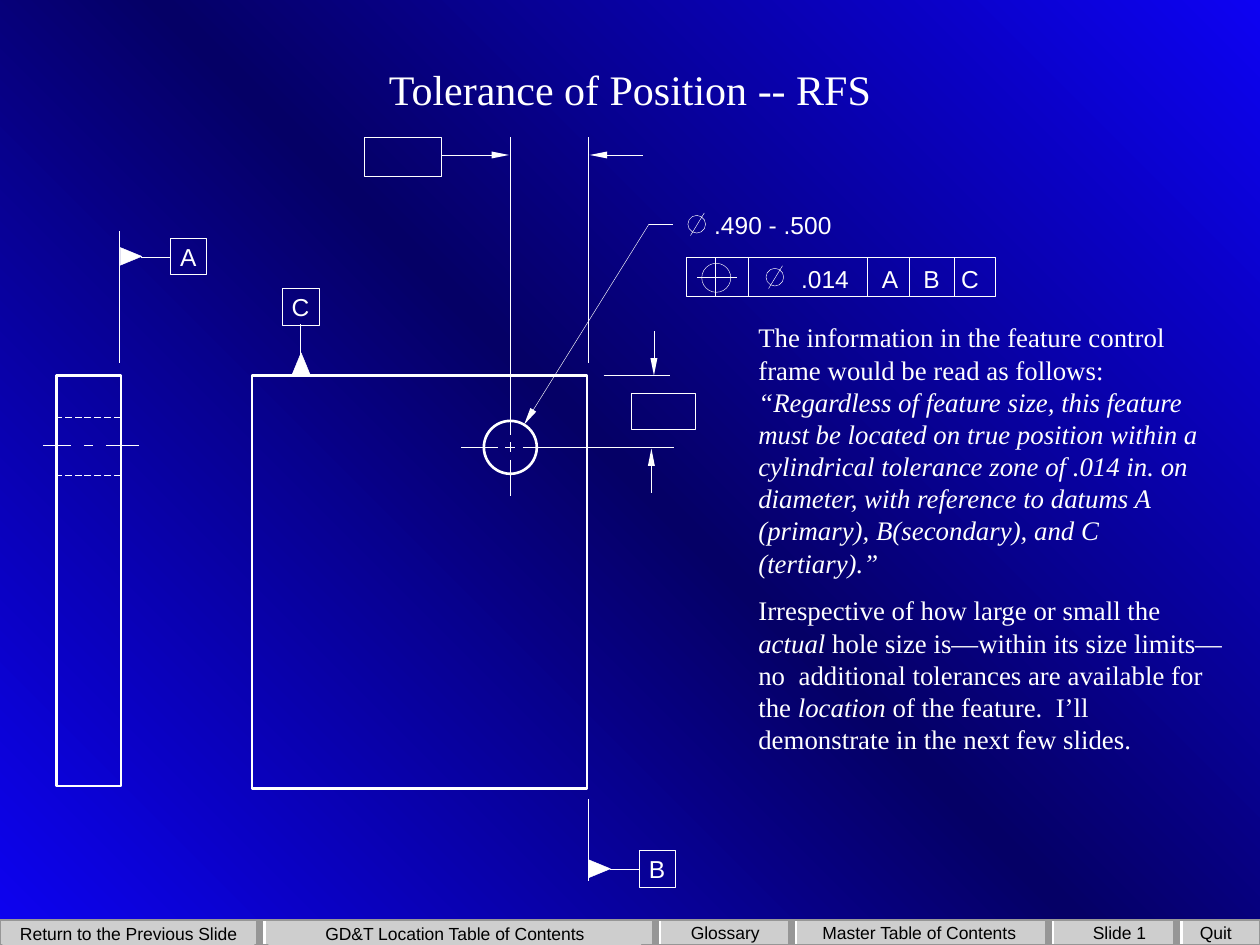
from copy import deepcopy

from lxml import etree
from pptx import Presentation
from pptx.dml.color import RGBColor
from pptx.enum.dml import MSO_LINE
from pptx.enum.shapes import MSO_CONNECTOR, MSO_SHAPE
from pptx.enum.text import MSO_ANCHOR, PP_ALIGN
from pptx.oxml.ns import qn
from pptx.util import Inches, Pt

RECT, OVAL, TRI = MSO_SHAPE.RECTANGLE, MSO_SHAPE.OVAL, MSO_SHAPE.ISOSCELES_TRIANGLE
STRAIGHT, DASH = MSO_CONNECTOR.STRAIGHT, MSO_LINE.LONG_DASH
LEFT, CENTER = PP_ALIGN.LEFT, PP_ALIGN.CENTER
TOP, MIDDLE = MSO_ANCHOR.TOP, MSO_ANCHOR.MIDDLE

COLORS = {"white": "FFFFFF", "black": "000000", "bar": "CECECE",
          "edge": "969696", "blue": "0D02F2", "navy": "050066"}
SANS, SERIF = "Arial", "Times New Roman"


def rgb(name):
    return RGBColor.from_string(COLORS[name])


def write(shape, paras, size=14, font=SANS, color="white", align=LEFT,
          anchor=TOP, wrap=False, after=0, inset=(0.1, 0.05), tabs=()):
    """Fill a shape with paragraphs; each is a list of (text, italic) runs."""
    frame = shape.text_frame
    frame.word_wrap, frame.vertical_anchor = wrap, anchor
    frame.margin_left = frame.margin_right = Inches(inset[0])
    frame.margin_top = frame.margin_bottom = Inches(inset[1])
    if isinstance(paras, str):
        paras = [[(paras, False)]]
    for i, runs in enumerate(paras):
        para = frame.add_paragraph() if i else frame.paragraphs[0]
        para.alignment, para.space_before = align, Pt(0)
        para.space_after = Pt(after if i < len(paras) - 1 else 0)
        if tabs:
            stops = etree.SubElement(para._p.get_or_add_pPr(), qn("a:tabLst"))
            for pos in tabs:
                etree.SubElement(stops, qn("a:tab"), pos=str(Inches(pos)), algn="l")
        for text, italic in runs:
            run = para.add_run()
            run.text = text
            run.font.size, run.font.name = Pt(size), font
            run.font.italic, run.font.color.rgb = italic, rgb(color)


class Sheet:
    def __init__(self, slide, thin=0.25, thick=1.5):
        self.slide, self.thin, self.thick = slide, thin, thick

    def back(self, names, angle):
        fill = self.slide.background.fill
        fill.gradient()
        fill.gradient_angle = angle
        first = next(self.slide.element.iter(qn("a:gs")))
        first.addnext(deepcopy(first))
        for i, (stop, name) in enumerate(zip(fill.gradient_stops, names)):
            stop.color.rgb, stop.position = rgb(name), i / (len(names) - 1)

    def title(self, text, *box):
        shape = self.slide.shapes.title
        shape.left, shape.top, shape.width, shape.height = map(Inches, box)
        write(shape, text, size=24, font=SERIF, align=CENTER, anchor=MIDDLE, wrap=True)

    def text(self, paras, *box, **style):
        write(self.slide.shapes.add_textbox(*map(Inches, box)), paras, **style)

    def shape(self, kind, *box, fill=None, line="white", width=None, rot=0):
        shape = self.slide.shapes.add_shape(kind, *map(Inches, box))
        shape.shadow.inherit = False
        shape.rotation = rot
        if fill:
            shape.fill.solid()
            shape.fill.fore_color.rgb = rgb(fill)
        else:
            shape.fill.background()
        if line:
            shape.line.color.rgb = rgb(line)
            shape.line.width = Pt(width or self.thin)
        else:
            shape.line.fill.background()
        return shape

    def line(self, *ends, color="white", width=None, dash=None, arrow=False):
        line = self.slide.shapes.add_connector(STRAIGHT, *map(Inches, ends))
        line.line.color.rgb = rgb(color)
        line.line.width = Pt(width or self.thin)
        if dash:
            line.line.dash_style = dash
        if arrow:
            etree.SubElement(line.line._get_or_add_ln(), qn("a:headEnd"),
                             type="triangle", w="sm", len="lg")
        etree.SubElement(line._element.spPr, qn("a:effectLst"))

    def datum(self, name, tip, stem, box, rot=0):
        self.shape(TRI, *tip, 0.14, 0.17, fill="white", rot=rot)
        self.line(*stem)
        frame = self.shape(RECT, *box, 0.29, 0.29)
        write(frame, name, align=CENTER, anchor=MIDDLE, inset=(0, 0))

    def diam(self, x, y):
        self.shape(OVAL, x, y, 0.14, 0.14)
        self.line(x + 0.13, y - 0.02, x + 0.02, y + 0.16)

    def button(self, text, *box):
        key = self.shape(RECT, *box, fill="bar", line=None)
        write(key, text, size=10, color="black", align=CENTER, anchor=MIDDLE)


def main():
    deck = Presentation()
    deck.slide_width, deck.slide_height = Inches(10), Inches(7.5)
    sheet = Sheet(deck.slides.add_slide(deck.slide_layouts[5]))
    sheet.back(["blue", "navy", "blue"], 225)
    sheet.title("Tolerance of Position -- RFS", 0.75, 0.08, 8.5, 1.25)

    # Navigation bar
    sheet.shape(RECT, 0, 7.3, 10, 0.2, fill="bar", line="edge", width=1.25)
    for text, x, y, w in [("Return to the Previous Slide", 0.02, 7.32, 2),
                          ("GD&T Location Table of Contents", 2.13, 7.32, 2.96),
                          ("Glossary", 5.26, 7.31, 0.99),
                          ("Master Table of Contents", 6.47, 7.31, 1.65),
                          ("Slide 1", 8.51, 7.31, 0.75),
                          ("Quit", 9.4, 7.31, 0.5)]:
        sheet.button(text, x, y, w, 0.18)
    for x in (2.08, 5.22, 6.3, 8.34, 9.36):
        sheet.line(x, 7.49, x, 7.31, width=4)
        sheet.line(x - 0.02, 7.49, x - 0.02, 7.31, color="edge", width=4)

    # Front view with hole and centre marks
    sheet.shape(RECT, 2, 2.98, 2.66, 3.28, width=sheet.thick)
    sheet.shape(OVAL, 3.84, 3.34, 0.42, 0.42, width=sheet.thick)
    for a, b in [(-0.39, -0.1), (-0.04, 0.04), (0.1, 0.39)]:
        sheet.line(4.05, 3.55 + a, 4.05, 3.55 + b)
        sheet.line(4.05 + a, 3.55, 4.05 + b, 3.55)

    # Side view with hidden lines and centre line
    sheet.shape(RECT, 0.45, 2.98, 0.51, 3.26, width=sheet.thick)
    for y in (3.31, 3.77):
        sheet.line(0.96, y, 0.45, y, width=0.5, dash=DASH)
    for a, b in [(0.34, 0.56), (0.67, 0.74), (0.84, 1.1)]:
        sheet.line(a, 3.53, b, 3.53)

    # Extension lines
    for ends in [(0.95, 2.88, 0.95, 1.83), (4.05, 3.2, 4.05, 1.09),
                 (4.67, 2.88, 4.67, 1.09), (4.67, 6.34, 4.67, 6.99),
                 (4.79, 2.98, 5.32, 2.98), (4.36, 3.55, 5.35, 3.55),
                 (5.15, 1.78, 5.34, 1.78)]:
        sheet.line(*ends)

    # Leader and dimension arrows
    for ends in [(4.16, 3.37, 5.15, 1.78), (5.19, 2.98, 5.19, 2.63),
                 (5.17, 3.56, 5.17, 3.91), (4.04, 1.23, 3.5, 1.23),
                 (4.68, 1.23, 5.1, 1.23)]:
        sheet.line(*ends, arrow=True)
    sheet.shape(RECT, 2.89, 1.09, 0.61, 0.31)
    sheet.shape(RECT, 5.01, 3.12, 0.51, 0.29)

    # Datum flags
    sheet.datum("C", (2.32, 2.8), (2.38, 2.83, 2.38, 2.57), (2.24, 2.29))
    for name, x, y in [("A", 0.97, 1.95), ("B", 4.69, 6.81)]:
        sheet.datum(name, (x, y), (x + 0.15, y + 0.09, x + 0.38, y + 0.09),
                    (x + 0.38, y - 0.06), rot=90)

    # Hole size and feature control frame
    sheet.diam(5.46, 1.71)
    sheet.text(".490 - .500", 5.57, 1.62, 1.13, 0.33)
    sheet.shape(RECT, 5.45, 2.04, 2.45, 0.31)
    sheet.shape(OVAL, 5.57, 2.09, 0.23, 0.23)
    sheet.line(5.53, 2.2, 5.85, 2.2)
    for x in (5.68, 5.94, 6.88, 7.22, 7.57):
        sheet.line(x, 2.04, x, 2.36)
    sheet.diam(6.08, 2.13)
    sheet.text(".014\tA\tB\tC", 6.26, 2.05, 1.63, 0.33, wrap=True,
               tabs=(0.64, 0.97, 1.27))

    # Explanation
    sheet.text([
        [("The information in the feature control frame would be read as follows:  ", False),
         ("“Regardless of feature size, this feature must be located on true position "
          "within a cylindrical tolerance zone of .014 in. on diameter, with reference "
          "to datums A (primary), B(secondary), and C (tertiary).”", True)],
        [("Irrespective of how large or small the ", False), ("actual", True),
         (" hole size is—within its size limits—no  additional tolerances are "
          "available for the ", False), ("location", True),
         (" of the feature.  I’ll demonstrate in the next few slides.", False)],
    ], 5.92, 2.5, 3.91, 4.08, size=15.3, font=SERIF, wrap=True, after=9)

    deck.save("out.pptx")


if __name__ == "__main__":
    main()
